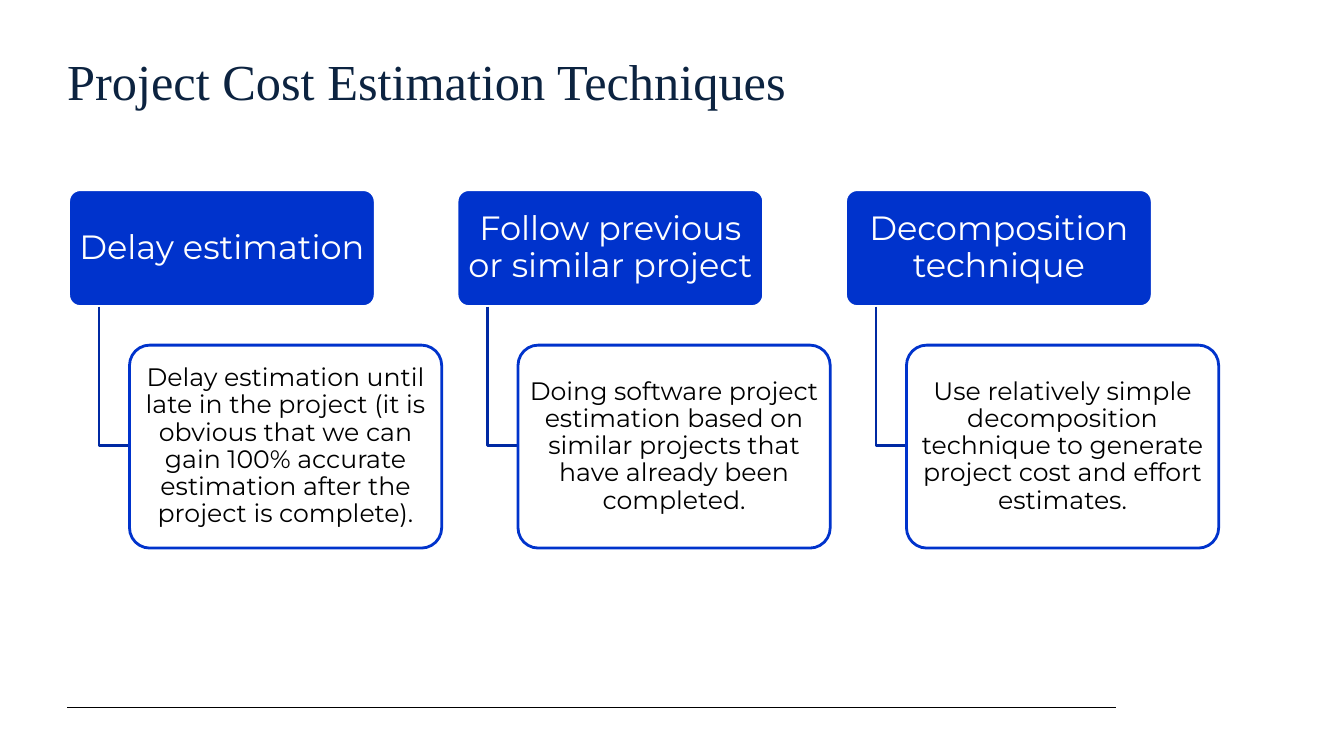
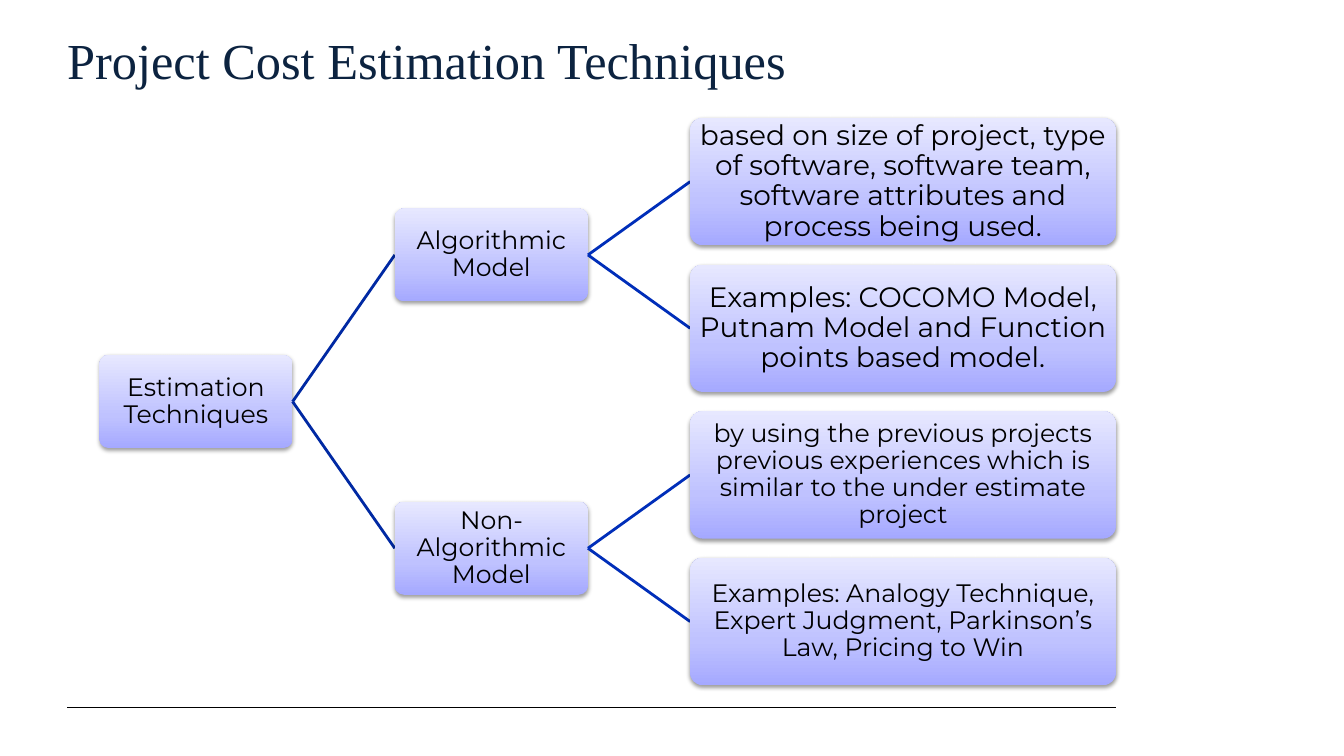
from pptx import Presentation
from pptx.dml.color import RGBColor
from pptx.enum.shapes import MSO_CONNECTOR as Conn, MSO_SHAPE as Shape
from pptx.enum.text import MSO_ANCHOR as Anchor, PP_ALIGN as Align
from pptx.oxml import parse_xml
from pptx.oxml.ns import nsdecls
from pptx.util import Pt

NAVY = RGBColor(0x0C, 0x23, 0x40)
BLUE = RGBColor(0x00, 0x33, 0xCC)
DARK = RGBColor(0x00, 0x29, 0xA3)
MID = RGBColor(0x00, 0x2E, 0xB9)
BLACK = RGBColor(0, 0, 0)
WHITE = RGBColor(0xFF, 0xFF, 0xFF)
STOPS = [(0, "A5A9FF"), (35, "BFC2FF"), (100, "E7E8FF")]
TITLE = "Project Cost Estimation Techniques"
SERIF, SANS = "Times New Roman", "Montserrat"


class Deck:
    def __init__(self):
        self.prs = Presentation()
        self.prs.slide_width, self.prs.slide_height = Pt(960), Pt(540)

    def page(self, top):
        """Start a slide with the shared title and footer rule."""
        self.slide = self.prs.slides.add_slide(self.prs.slide_layouts[6])
        self.shapes = self.slide.shapes
        self.line(48, 505.5, 797, 505.5, BLACK, 0.75)
        box = self.shapes.add_textbox(Pt(48), Pt(top), Pt(749), Pt(63))
        self.text(box, TITLE, 36, NAVY, SERIF, 0)

    def text(self, shape, words, size, color, face=SANS, inset=3):
        frame = shape.text_frame
        frame.text = words
        frame.word_wrap = True
        frame.margin_left = frame.margin_right = Pt(inset)
        frame.margin_top = frame.margin_bottom = Pt(inset)
        font = frame.paragraphs[0].runs[0].font
        font.name, font.size, font.color.rgb = face, Pt(size), color

    def box(self, x, y, w, h, words, size, color=BLACK, inset=3):
        """Add a rounded box with centred text."""
        box = self.shapes.add_shape(Shape.ROUNDED_RECTANGLE, Pt(x), Pt(y), Pt(w), Pt(h))
        box.adjustments[0] = 0.1
        box.shadow.inherit = False
        self.text(box, words, size, color, inset=inset)
        box.text_frame.vertical_anchor = Anchor.MIDDLE
        para = box.text_frame.paragraphs[0]
        para.alignment, para.line_spacing = Align.CENTER, 0.9
        return box

    def flat(self, x, y, w, h, words, size, fill, edge, color):
        box = self.box(x, y, w, h, words, size, color)
        box.fill.solid()
        box.fill.fore_color.rgb = fill
        box.line.color.rgb, box.line.width = edge, Pt(2)

    def glow(self, x, mid, w, h, words, size):
        """Add a gradient box with a soft shadow, centred on height mid."""
        box = self.box(x, mid - h / 2, w, h, words, size, inset=1)
        box.line.fill.background()
        stops = "".join(f'<a:gs pos="{at * 1000}"><a:srgbClr val="{hue}"/></a:gs>'
                        for at, hue in STOPS)
        props = box._element.spPr
        props.insert(2, parse_xml(
            f'<a:gradFill {nsdecls("a")} rotWithShape="1"><a:gsLst>{stops}</a:gsLst>'
            '<a:lin ang="16200000" scaled="0"/></a:gradFill>'))
        props.find("{*}effectLst").append(parse_xml(
            f'<a:outerShdw {nsdecls("a")} blurRad="{Pt(3.1)}" dist="{Pt(1.6)}" '
            'dir="5400000" rotWithShape="0"><a:srgbClr val="000000">'
            '<a:alpha val="38000"/></a:srgbClr></a:outerShdw>'))

    def line(self, x1, y1, x2, y2, color, width=2):
        line = self.shapes.add_connector(Conn.STRAIGHT, Pt(x1), Pt(y1), Pt(x2), Pt(y2))
        line.line.color.rgb, line.line.width = color, Pt(width)
        line._element.spPr.append(parse_xml(f'<a:effectLst {nsdecls("a")}/>'))

    def elbow(self, x, top, end, low):
        path = self.shapes.build_freeform(Pt(x), Pt(top))
        path.add_line_segments([(Pt(x), Pt(low)), (Pt(end), Pt(low))], close=False)
        bend = path.convert_to_shape()
        bend.shadow.inherit = False
        bend.fill.background()
        bend.line.color.rgb, bend.line.width = DARK, Pt(2)


CARDS = [
    ("Delay estimation",
     "Delay estimation until late in the project (it is obvious that we can gain "
     "100% accurate estimation after the project is complete)."),
    ("Follow previous or similar project",
     "Doing software project estimation based on similar projects that have "
     "already been completed."),
    ("Decomposition technique",
     "Use relatively simple decomposition technique to generate project cost "
     "and effort estimates."),
]
TREE = [
    ("Algorithmic Model", 20, [
        "based on size of project, type of software, software team, software "
        "attributes and process being used.",
        "Examples: COCOMO Model, Putnam Model and Function points based model."]),
    ("Non-Algorithmic Model", 18, [
        "by using the previous projects previous experiences which is similar to "
        "the under estimate project",
        "Examples: Analogy Technique, Expert Judgment, Parkinson’s Law, Pricing to Win"]),
]


def cards(deck):
    deck.page(36)
    for i, (head, body) in enumerate(CARDS):
        x = 49 + 277.5 * i
        deck.flat(x, 135.5, 219, 83.5, head, 24, BLUE, WHITE, WHITE)
        deck.elbow(x + 21.75, 219, x + 43.5, 318.5)
        deck.flat(x + 43.5, 246.5, 223, 145, body, 18, WHITE, BLUE, BLACK)


def tree(deck):
    deck.page(21)
    # Column lefts, node size, leaf size and leaf pitch
    root, fork, leaf = 71, 282, 493
    w, h, wide, tall = 138, 66.5, 304, 91
    first, step = 129.75, 104.75
    mid = first + 1.5 * step
    deck.glow(root, mid, w, h, "Estimation Techniques", 18)
    for i, (name, size, notes) in enumerate(TREE):
        y = first + (2 * i + 0.5) * step
        deck.line(root + w, mid, fork, y, DARK)
        deck.glow(fork, y, w, h, name, 18)
        for j, note in enumerate(notes):
            spot = first + (2 * i + j) * step
            deck.line(fork + w, y, leaf, spot, MID)
            deck.glow(leaf, spot, wide, tall, note, size)


def main():
    deck = Deck()
    cards(deck)
    tree(deck)
    deck.prs.save("out.pptx")


if __name__ == "__main__":
    main()
